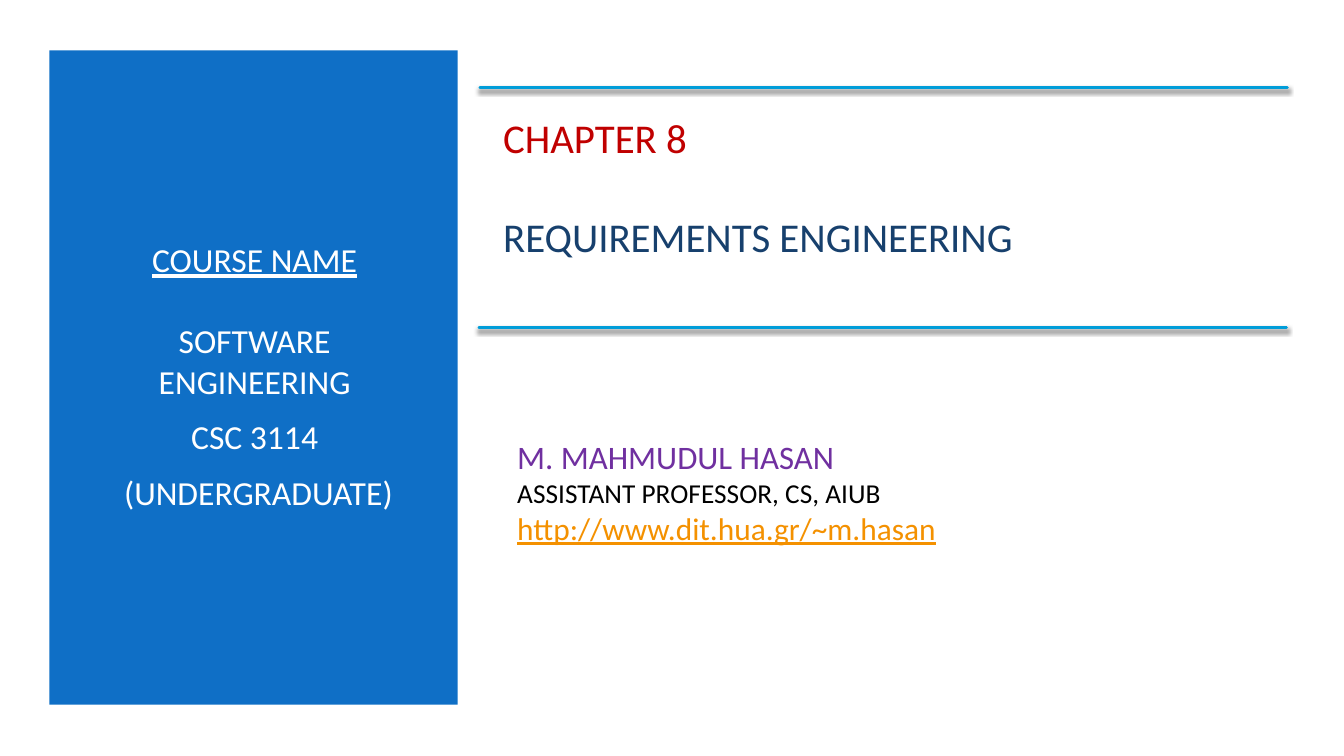
from pptx import Presentation
from pptx.dml.color import RGBColor
from pptx.enum.shapes import MSO_CONNECTOR, MSO_SHAPE
from pptx.enum.text import MSO_ANCHOR, MSO_AUTO_SIZE, PP_ALIGN
from pptx.oxml import parse_xml
from pptx.oxml.ns import nsdecls
from pptx.oxml.xmlchemy import OxmlElement
from pptx.util import Inches, Pt

RECTANGLE, STRAIGHT = MSO_SHAPE.RECTANGLE, MSO_CONNECTOR.STRAIGHT
LEFT, CENTER = PP_ALIGN.LEFT, PP_ALIGN.CENTER
MIDDLE, NO_FIT = MSO_ANCHOR.MIDDLE, MSO_AUTO_SIZE.NONE
TWO_CONTENT = 3

THEME = {
    "font": "Calibri",
    "panel": "0F6FC6", "on_panel": "FFFFFF", "rule": "009DD9",
    "chapter": "C00000", "topic": "17406D",
    "author": "7030A0", "role": "000000", "link": "F49100",
    "course_size": 24, "title_size": 29.2,
    "author_size": 23.4, "role_size": 19.5, "link_size": 22.4,
    "rule_width": 2,
}

# Each line: text, colour key, size key, extra format
TITLE = [
    ("CHAPTER 8", "chapter", "title_size", {}),
    ("REQUIREMENTS ENGINEERING", "topic", "title_size", {"before": 35.6}),
]
COURSE = [
    ("COURSE NAME", "on_panel", "course_size", {"underline": True}),
    ("SOFTWARE ENGINEERING", "on_panel", "course_size", {"before": 29.3}),
    ("CSC 3114", "on_panel", "course_size", {"before": 10.8}),
    (" (UNDERGRADUATE)", "on_panel", "course_size", {"before": 10.8}),
]
AUTHOR = [
    ("M. MAHMUDUL HASAN", "author", "author_size", {}),
    ("ASSISTANT PROFESSOR, CS, AIUB", "role", "role_size", {}),
    ("http://www.dit.hua.gr/~m.hasan", "link", "link_size", {"underline": True}),
]

PANEL_BOX = (0.49, 0.5, 4.05, 6.49)
TITLE_BOX = (4.89, 1.1, 7.85, 1.51)
COURSE_BOX = (0.84, 1.1, 3.37, 5.25)
AUTHOR_BOX = (5.03, 4.1, 6.66, 1.56)
RULES = [(4.76, 0.87), (4.75, 3.25)]
RULE_LENGTH = 8.01


def color(key):
    return RGBColor.from_string(THEME[key])


def add_line(p, text, fill, size, align=LEFT, before=0, underline=False):
    pPr = p._p.get_or_add_pPr()
    pPr.set("marL", "0")
    pPr.set("indent", "0")
    pPr.append(OxmlElement("a:buNone"))
    p.alignment = align
    p.line_spacing = 1.0
    p.space_before, p.space_after = Pt(before), Pt(0)
    r = p.add_run()
    r.text = text
    r.font.name = THEME["font"]
    r.font.size = Pt(THEME[size])
    r.font.color.rgb = color(fill)
    r.font.underline = underline


def fill_placeholder(sp, box, lines, align=LEFT):
    sp.left, sp.top, sp.width, sp.height = map(Inches, box)
    tf = sp.text_frame
    tf.word_wrap, tf.auto_size, tf.vertical_anchor = True, NO_FIT, MIDDLE
    for i, (text, fill, size, extra) in enumerate(lines):
        p = tf.add_paragraph() if i else tf.paragraphs[0]
        add_line(p, text, fill, size, align=align, **extra)


def add_panel(s):
    sp = s.shapes.add_shape(RECTANGLE, *map(Inches, PANEL_BOX))
    sp.shadow.inherit = False
    sp.fill.solid()
    sp.fill.fore_color.rgb = color("panel")
    sp.line.fill.background()
    return sp


def add_rule(s, x, y):
    """Draw a horizontal rule with a soft shadow just below it."""
    rule = s.shapes.add_connector(
        STRAIGHT, Inches(x), Inches(y), Inches(x + RULE_LENGTH), Inches(y))
    rule.line.color.rgb = color("rule")
    rule.line.width = Pt(THEME["rule_width"])
    rule.line._get_or_add_ln().set("cap", "rnd")
    rule._element.spPr.append(parse_xml(
        f'<a:effectLst {nsdecls("a")}>'
        f'<a:outerShdw blurRad="{Pt(3)}" dist="{Pt(2)}" dir="5400000" rotWithShape="0">'
        '<a:srgbClr val="000000"><a:alpha val="55000"/></a:srgbClr>'
        '</a:outerShdw></a:effectLst>'))


def main():
    prs = Presentation()
    prs.slide_width, prs.slide_height = Inches(13.33), Inches(7.5)
    s = prs.slides.add_slide(prs.slide_layouts[TWO_CONTENT])
    title, course, author = list(s.placeholders)[:3]
    fill_placeholder(title, TITLE_BOX, TITLE)
    fill_placeholder(course, COURSE_BOX, COURSE, align=CENTER)
    fill_placeholder(author, AUTHOR_BOX, AUTHOR)
    panel = add_panel(s)
    title.element.addprevious(panel.element)  # behind the course text
    for x, y in RULES:
        add_rule(s, x, y)
    prs.save("out.pptx")


if __name__ == "__main__":
    main()
